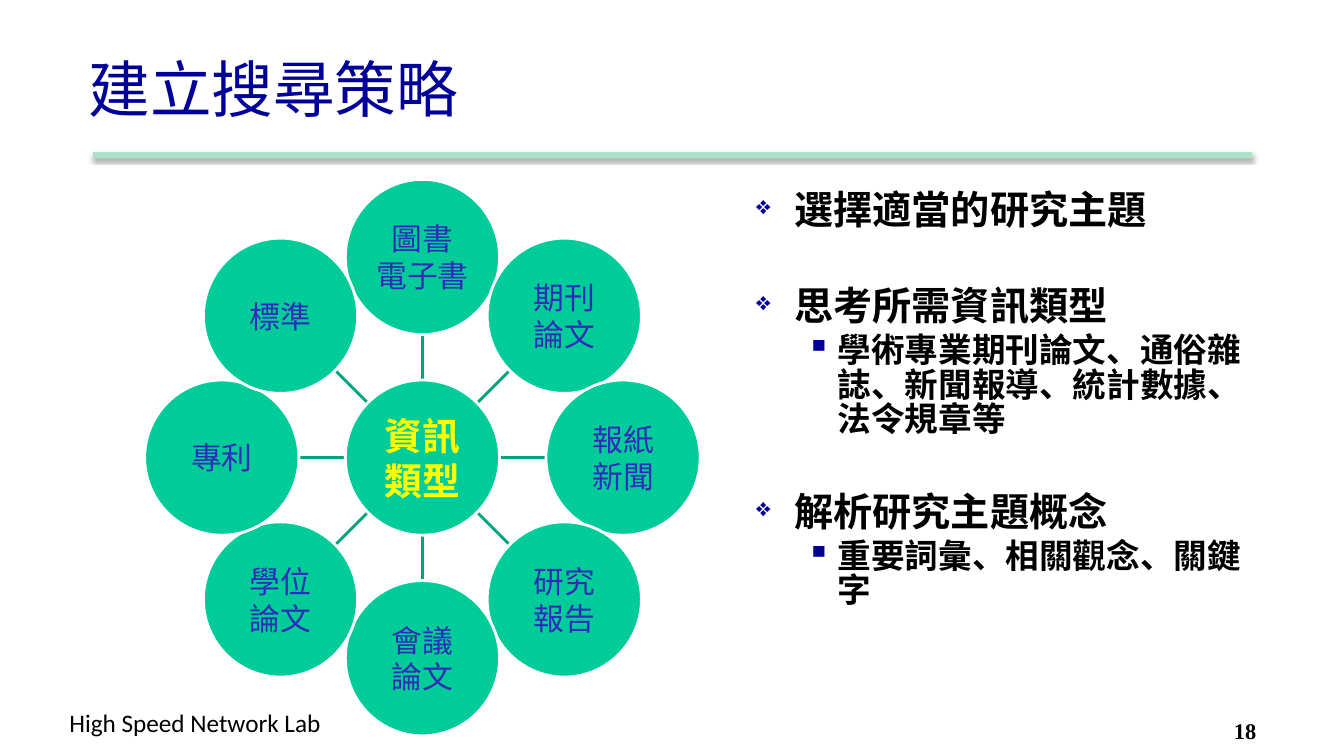
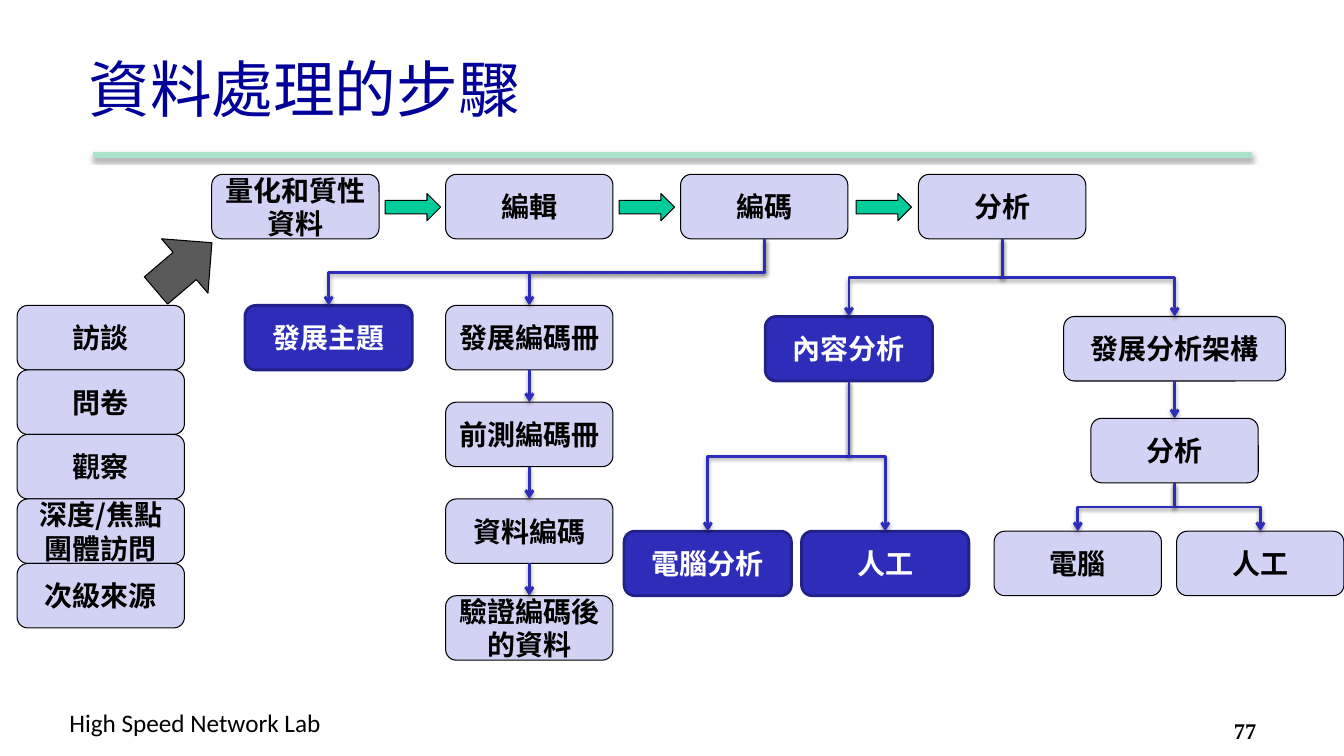
from math import cos, pi, sin

from lxml import etree
from pptx import Presentation
from pptx import util as u
from pptx.dml.color import RGBColor
from pptx.enum import shapes, text
from pptx.oxml import ns

PX = 9144  # 100 px to the inch


class Theme:
    navy, blue, edge, pale = "000099", "2D2DB9", "212189", "D2D2F4"
    green, spoke, mint, gray = "00CC99", "00A37B", "AAE2CA", "595959"
    black, white, yellow = "000000", "FFFFFF", "FFFF00"
    serif, sans, foot = "Times New Roman", "Noto Sans CJK SC", "Calibri"
    title, head, sub, hub, node, box, label, page = 44, 28, 24, 27, 22, 20, 18, 16


def write(shape, words, size, color=Theme.black, font=Theme.serif, bold=False,
          align="LEFT", anchor="TOP", inset=None, wrap=True,
          bullet=None, scale=100, indent=0, hang=0, before=0, spacing=None):
    """Append one paragraph per line of words to the shape's text."""
    frame = shape.text_frame
    frame.word_wrap = wrap
    frame.vertical_anchor = text.MSO_ANCHOR[anchor]
    if inset is not None:
        frame.margin_left = frame.margin_right = inset * PX
        frame.margin_top = frame.margin_bottom = inset * PX
    for line in words.split("\n"):
        para = frame.add_paragraph() if frame.text else frame.paragraphs[0]
        para.alignment = text.PP_ALIGN[align]
        if spacing:
            para.line_spacing = spacing
        if before:
            para.space_before = u.Pt(before)
        if bullet:
            props = para._p.get_or_add_pPr()
            props.set("marL", str(indent * PX))
            props.set("indent", str(-hang * PX))
            tint = etree.SubElement(props, ns.qn("a:buClr"))
            etree.SubElement(tint, ns.qn("a:srgbClr"), val=Theme.navy)
            etree.SubElement(props, ns.qn("a:buSzPct"), val=str(scale * 1000))
            etree.SubElement(props, ns.qn("a:buChar"), char=bullet)
        run = para.add_run()
        run.text = line
        run.font.name, run.font.size, run.font.bold = font, u.Pt(size), bold
        run.font.color.rgb = RGBColor.from_string(color)


def link(slide, x1, y1, x2, y2, color, width=2, arrow=False, bent=False, shadow=True):
    """Draw a straight line, or an elbow that leaves and arrives vertically."""
    kind, turn = shapes.MSO_CONNECTOR.STRAIGHT, 0
    if bent:
        kind = shapes.MSO_CONNECTOR.ELBOW
        midx, midy = (x1 + x2) / 2, (y1 + y2) / 2
        wide, high = (y2 - y1) / 2, abs(x2 - x1) / 2
        turn, side = (270, -1) if x2 > x1 else (90, 1)
        x1, x2 = midx - side * wide, midx + side * wide
        y1, y2 = midy - high, midy + high
    line = slide.shapes.add_connector(kind, *(round(v * PX) for v in (x1, y1, x2, y2)))
    line.line.color.rgb = RGBColor.from_string(color)
    line.line.width = u.Pt(width)
    props = line.element.spPr
    if turn:
        props.find(ns.qn("a:xfrm")).set("rot", str(turn * 60000))
    if arrow:
        etree.SubElement(props.find(ns.qn("a:ln")), ns.qn("a:tailEnd"), type="arrow")
    effect = etree.SubElement(props, ns.qn("a:effectLst"))
    if shadow:
        cast = etree.SubElement(effect, ns.qn("a:outerShdw"), blurRad="40000",
                                dist="20000", dir="5400000", rotWithShape="0")
        tint = etree.SubElement(cast, ns.qn("a:srgbClr"), val=Theme.black)
        etree.SubElement(tint, ns.qn("a:alpha"), val="38000")


deck = Presentation()
deck.slide_width, deck.slide_height = 1333 * PX, 750 * PX

# Title, rule, footer and page number of every slide
for title, page in (("建立搜尋策略", "18"), ("資料處理的步驟", "77")):
    slide = deck.slides.add_slide(deck.slide_layouts[6])
    link(slide, 92, 154, 1242, 154, Theme.mint, width=4.5)
    for words, place, style in (
        (title, (78, 25, 1133, 125),
         dict(size=Theme.title, color=Theme.navy, anchor="MIDDLE")),
        ("High Speed Network Lab", (59, 697, 279, 40),
         dict(size=Theme.label, font=Theme.foot, wrap=False)),
        (page, (1214, 707, 99, 30), dict(size=Theme.page, bold=True)),
    ):
        write(slide.shapes.add_textbox(*(v * PX for v in place)), words, **style)
search, steps = deck.slides

# Search strategy: outline on the right
body = search.shapes.add_textbox(740 * PX, 186 * PX, 501 * PX, 508 * PX)
head = dict(size=Theme.head, bullet="❖", scale=65, indent=38, hang=38)
sub = dict(size=Theme.sub, bullet="▪", indent=81, hang=31, before=5)
for words, style in (
    ("選擇適當的研究主題", head),
    ("思考所需資訊類型", head | dict(before=40)),
    ("學術專業期刊論文、通俗雜誌、新聞報導、統計數據、法令規章等", sub),
    ("解析研究主題概念", head | dict(before=40)),
    ("重要詞彙、相關觀念、關鍵字", sub),
):
    write(body, words, bold=True, spacing=0.85, **style)

# Search strategy: wheel of source types, clockwise from the top
midx, midy, ring, wide, high = 419, 454, 199, 153, 154
kinds = ("圖書\n電子書", "期刊\n論文", "報紙\n新聞", "研究\n報告",
         "會議\n論文", "學位\n論文", "專利", "標準")
discs = [("資訊\n類型", midx, midy, dict(size=Theme.hub, color=Theme.yellow, bold=True))]
for i, kind in enumerate(kinds):
    turn = 2 * pi * i / len(kinds)
    dx, dy = sin(turn), -cos(turn)
    link(search, midx + 77 * dx, midy + 77 * dy, midx + 122 * dx, midy + 122 * dy,
         Theme.spoke, shadow=False)
    discs.append((kind, midx + ring * dx, midy + ring * dy,
                  dict(size=Theme.node, color=Theme.blue)))
for words, x, y, style in discs:
    disc = search.shapes.add_shape(
        shapes.MSO_SHAPE.OVAL, round((x - wide / 2) * PX), round((y - high / 2) * PX),
        wide * PX, high * PX)
    disc.shadow.inherit = False
    disc.fill.solid()
    disc.fill.fore_color.rgb = RGBColor.from_string(Theme.green)
    disc.line.color.rgb = RGBColor.from_string(Theme.white)
    disc.line.width = u.Pt(2)
    write(disc, words, align="CENTER", anchor="MIDDLE", inset=2, **style)

# Data steps: boxes as key -> (words, left, top)
wide, high, top = 166, 64, 173
boxes = {
    "data": ("量化和質性資料", 210, top),
    "edit": ("編輯", 442, top),
    "code": ("編碼", 675, top),
    "study": ("分析", 911, top),
    "theme": ("發展主題", 243, 303),
    "content": ("內容分析", 759, 314),
    "frame": ("發展分析架構", 1055, 314),
    "review": ("分析", 1082, 415),
    "auto": ("電腦分析", 619, 527),
    "hand": ("人工", 795, 527),
    "machine": ("電腦", 986, 527),
    "manual": ("人工", 1167, 527),
}
sources = ("訪談", "問卷", "觀察", "深度/焦點團體訪問", "次級來源")
books = ("發展編碼冊", "前測編碼冊", "資料編碼", "驗證編碼後的資料")
for stack, left, pitch in ((sources, 17, high), (books, 442, 96)):
    for i, words in enumerate(stack):
        boxes[words] = (words, left, 303 + i * pitch)
dark = ("theme", "content", "auto", "hand")
broad = {"frame": 220}

for key, (words, x, y) in boxes.items():
    fill, edge, ink, weight = (
        (Theme.blue, Theme.edge, Theme.white, 2) if key in dark
        else (Theme.pale, Theme.black, Theme.black, 0.75))
    box = steps.shapes.add_shape(shapes.MSO_SHAPE.ROUNDED_RECTANGLE, x * PX, y * PX,
                                 broad.get(key, wide) * PX, high * PX)
    box.shadow.inherit = False
    box.fill.solid()
    box.fill.fore_color.rgb = RGBColor.from_string(fill)
    box.line.color.rgb = RGBColor.from_string(edge)
    box.line.width = u.Pt(weight)
    write(box, words, Theme.box, ink, Theme.sans, bold=True, align="CENTER", anchor="MIDDLE")

# Data steps: block arrows, centred in the gaps of the top row
arrows = [(146, 229, 73, 71, 319.5, Theme.gray)]
row = ("data", "edit", "code", "study")
for one, two in zip(row, row[1:]):
    mid = (boxes[one][1] + wide + boxes[two][1]) // 2
    arrows.append((mid - 27, 192, 55, 27, 0, Theme.green))
for x, y, w, h, turn, fill in arrows:
    arrow = steps.shapes.add_shape(shapes.MSO_SHAPE.RIGHT_ARROW, x * PX, y * PX, w * PX, h * PX)
    arrow.rotation = turn
    arrow.shadow.inherit = False
    arrow.fill.solid()
    arrow.fill.fore_color.rgb = RGBColor.from_string(fill)
    arrow.line.color.rgb = RGBColor.from_string(Theme.black)
    arrow.line.width = u.Pt(0.75)

# Data steps: links from the foot of one box to the top of the next
for one, two in (
    ("code", "theme"), ("code", books[0]), *zip(books, books[1:]),
    ("study", "content"), ("study", "frame"), ("content", "auto"), ("content", "hand"),
    ("frame", "review"), ("review", "manual"), ("review", "machine"),
):
    (_, x1, y1), (_, x2, y2) = boxes[one], boxes[two]
    x1 += broad.get(one, wide) // 2
    x2 += broad.get(two, wide) // 2
    link(steps, x1, y1 + high, x2, y2, Theme.blue, arrow=True, bent=x1 != x2)

deck.save("out.pptx")
